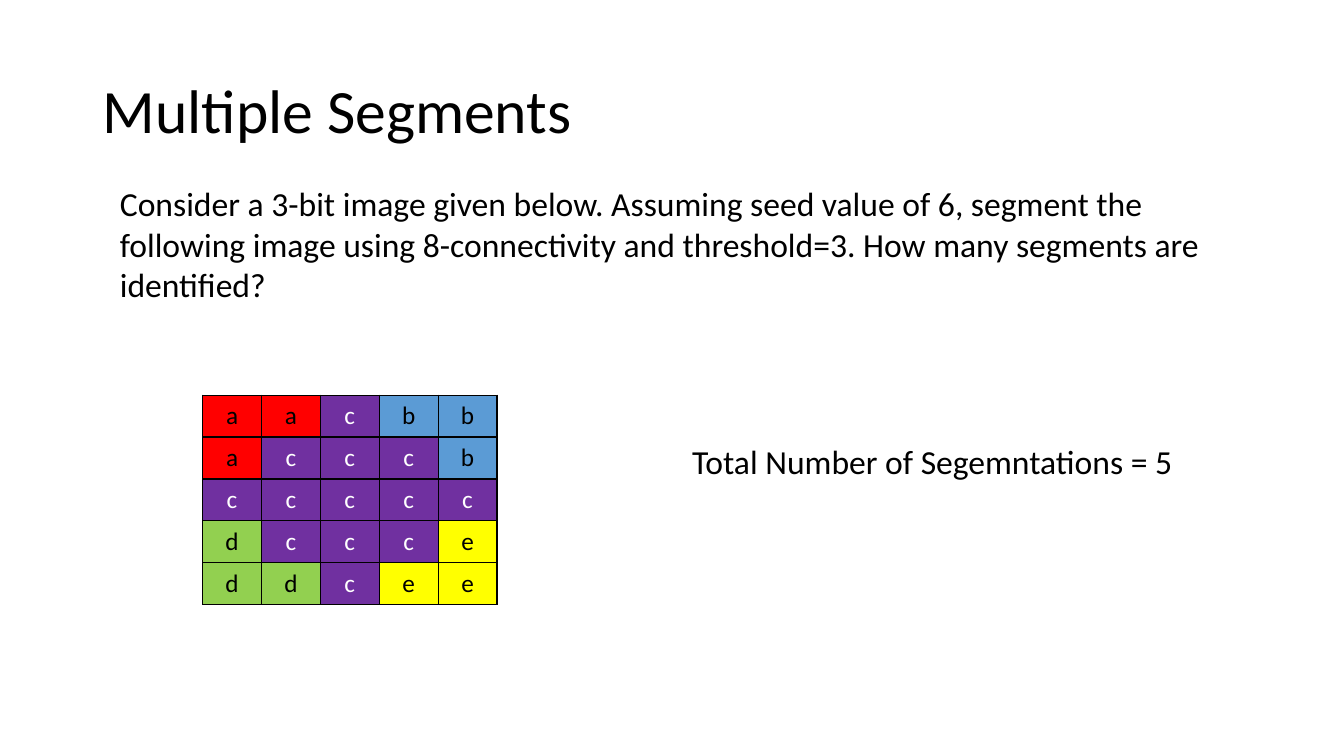
from lxml.etree import SubElement
from pptx import Presentation
from pptx.dml.color import RGBColor
from pptx.enum.text import MSO_ANCHOR, MSO_AUTO_SIZE, PP_ALIGN
from pptx.oxml.ns import qn
from pptx.util import Emu, Pt

SCALE = 9144
BLACK, WHITE = "000000", "FFFFFF"
GRID = ["aacbb", "acccb", "ccccc", "dccce", "ddcee"]
FILLS = {"a": "FF0000", "b": "5B9BD5", "c": "7030A0", "d": "92D050", "e": "FFFF00"}
TASK = ("Consider a 3-bit image given below. Assuming seed value of 6, segment the "
        "following image using 8-connectivity and threshold=3. "
        "How many segments are identified?")


def px(count):
    """Turn pixels into EMU."""
    return Emu(count * SCALE)


def color(code):
    """Turn a hex string into a colour."""
    return RGBColor.from_string(code)


def write(frame, text, size=24, ink=BLACK, align=PP_ALIGN.LEFT, space=1.0):
    """Put one formatted paragraph into a text frame."""
    frame.word_wrap = True
    para = frame.paragraphs[0]
    para.alignment = align
    para.line_spacing = space
    run = para.add_run()
    run.text = text
    run.font.name = "Calibri"
    run.font.size = Pt(size)
    run.font.color.rgb = color(ink)


def add_title(slide, text, left, top, width, height):
    """Place and fill the title."""
    title = slide.shapes.title
    title.left, title.top = px(left), px(top)
    title.width, title.height = px(width), px(height)
    frame = title.text_frame
    frame.auto_size = MSO_AUTO_SIZE.NONE
    frame.vertical_anchor = MSO_ANCHOR.MIDDLE
    write(frame, text, size=44, space=0.9)


def add_text(slide, text, left, top, width, height, **style):
    """Add a text box that grows with its text."""
    box = slide.shapes.add_textbox(px(left), px(top), px(width), px(height))
    box.text_frame.auto_size = MSO_AUTO_SIZE.SHAPE_TO_FIT_TEXT
    write(box.text_frame, text, **style)


def add_edges(cell):
    """Draw a thin black line on each side of a cell."""
    props = cell._tc.get_or_add_tcPr()
    for side in ("lnL", "lnR", "lnT", "lnB"):
        line = SubElement(props, qn(f"a:{side}"), w=str(Pt(1)))
        fill = SubElement(line, qn("a:solidFill"))
        SubElement(fill, qn("a:srgbClr"), val=BLACK)


def add_grid(slide, rows, left, top, width, height):
    """Add the table of segment labels, coloured by segment."""
    frame = slide.shapes.add_table(len(rows), len(rows[0]), px(left), px(top),
                                   px(width), px(height))
    table = frame.table
    table.first_row = table.horz_banding = False
    for r, row in enumerate(rows):
        for c, label in enumerate(row):
            cell = table.cell(r, c)
            add_edges(cell)
            cell.fill.solid()
            cell.fill.fore_color.rgb = color(FILLS[label])
            cell.vertical_anchor = MSO_ANCHOR.MIDDLE
            write(cell.text_frame, label, size=18, align=PP_ALIGN.CENTER,
                  ink=WHITE if label == "c" else BLACK)


def main():
    """Build and save the slide."""
    deck = Presentation()
    deck.slide_width, deck.slide_height = px(1333), px(750)
    slide = deck.slides.add_slide(deck.slide_layouts.get_by_name("Title Only"))
    add_title(slide, "Multiple Segments", 92, 40, 1150, 145)
    add_grid(slide, GRID, 201, 392, 292, 208)
    add_text(slide, TASK, 109, 177, 1138, 131)
    add_text(slide, "Total Number of Segemntations = 5", 667, 433, 515, 50,
             align=PP_ALIGN.CENTER)
    deck.save("out.pptx")


if __name__ == "__main__":
    main()
